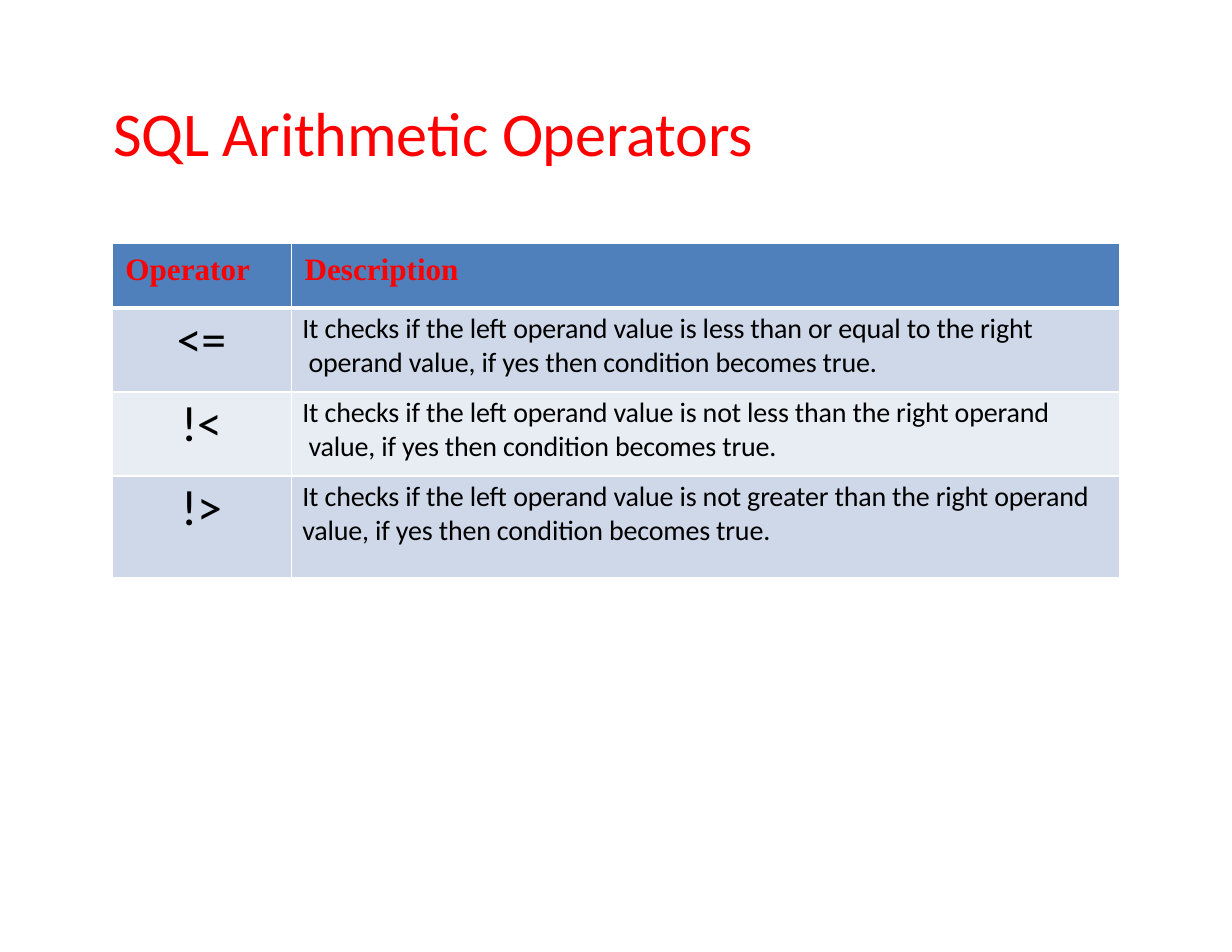
"""Builds a slide with a table of SQL operators and their descriptions."""
from lxml import etree
from pptx import Presentation
from pptx import util as u
from pptx.dml.color import RGBColor
from pptx.enum import text
from pptx.oxml import ns

RED = RGBColor(0xFF, 0x00, 0x00)
BLACK = RGBColor(0x00, 0x00, 0x00)
WHITE = RGBColor(0xFF, 0xFF, 0xFF)
HEADER_BLUE = RGBColor(0x4F, 0x80, 0xBC)
BANDS = [RGBColor(0xCF, 0xD8, 0xE8), RGBColor(0xE8, 0xED, 0xF4)]

COLUMN_WIDTHS = [1.6, 7.4]
ROW_HEIGHTS = [0.58, 0.75, 0.75, 0.91]
ROW_RULES = [1.5, 3, 1.5, 1.5, 1]
COLUMN_RULES = [1.5, 1, 1.5]

ROWS = [
    ("Operator", "Description"),
    ("<=", "It checks if the left operand value is less than or equal to the right"
           "\v operand value, if yes then condition becomes true."),
    ("!<", "It checks if the left operand value is not less than the right operand"
           "\v value, if yes then condition becomes true."),
    ("!>", "It checks if the left operand value is not greater than the right operand "
           "value, if yes then condition becomes true."),
]


def format_text(paragraph, size, color, font="Calibri", bold=False,
                spacing=-10, before=0.0, indent=0.0):
    """Set the paragraph's spacing and indent and the look of its runs."""
    paragraph.space_before = u.Pt(before)
    properties = paragraph._p.get_or_add_pPr()
    properties.set("marL", str(u.Inches(indent)))
    properties.set("indent", "0")
    for run in paragraph.runs:
        run.font.size = u.Pt(size)
        run.font.name = font
        run.font.bold = bold
        run.font.color.rgb = color
        run._r.get_or_add_rPr().set("spc", str(spacing))


def add_title(slide, wording):
    """Place the title placeholder above the table."""
    title = slide.shapes.title
    title.left, title.top = u.Inches(1), u.Inches(0.83)
    title.width, title.height = u.Inches(5.77), u.Inches(0.69)
    frame = title.text_frame
    frame.text = wording
    frame.word_wrap = True
    frame.auto_size = text.MSO_AUTO_SIZE.NONE
    frame.vertical_anchor = text.MSO_ANCHOR.TOP
    frame.margin_left = frame.margin_right = frame.margin_bottom = 0
    frame.margin_top = u.Inches(0.01)
    heading = frame.paragraphs[0]
    heading.alignment = text.PP_ALIGN.LEFT
    format_text(heading, 40, RED, before=0.9, indent=0.01)


def rule_cell(cell, row, column):
    """Draw the white rules around a cell."""
    widths = {"lnL": COLUMN_RULES[column], "lnR": COLUMN_RULES[column + 1],
              "lnT": ROW_RULES[row], "lnB": ROW_RULES[row + 1]}
    properties = cell._tc.get_or_add_tcPr()
    for side, width in widths.items():
        rule = etree.SubElement(properties, ns.qn("a:" + side), w=str(u.Pt(width)))
        fill = etree.SubElement(rule, ns.qn("a:solidFill"))
        etree.SubElement(fill, ns.qn("a:srgbClr"), val=str(WHITE))


def fill_cell(cell, wording, row, column):
    """Write and format one cell as header, operator or description."""
    rule_cell(cell, row, column)
    cell.fill.solid()
    cell.fill.fore_color.rgb = BANDS[(row - 1) % 2] if row else HEADER_BLUE
    cell.margin_left = cell.margin_right = cell.margin_bottom = 0
    cell.text_frame.text = wording
    paragraph = cell.text_frame.paragraphs[0]
    if row == 0:
        cell.margin_top = u.Inches(0.09)
        format_text(paragraph, 20, RED, "Times New Roman", True, 0, 6.8, 0.12)
    elif column == 0:
        cell.margin_top = u.Inches(0.02)
        paragraph.alignment = text.PP_ALIGN.CENTER
        format_text(paragraph, 32, BLACK, before=1.6)
    else:
        cell.margin_top = u.Inches(0.03)
        format_text(paragraph, 18, BLACK, before=2.3, indent=0.1)


def add_operator_table(slide):
    """Add the table of operators."""
    operators = slide.shapes.add_table(
        len(ROWS), len(COLUMN_WIDTHS), u.Inches(1), u.Inches(2.17),
        u.Inches(sum(COLUMN_WIDTHS)), u.Inches(sum(ROW_HEIGHTS))).table
    for column, width in zip(operators.columns, COLUMN_WIDTHS):
        column.width = u.Inches(width)
    for row, height in zip(operators.rows, ROW_HEIGHTS):
        row.height = u.Inches(height)
    for row, wordings in enumerate(ROWS):
        for column, wording in enumerate(wordings):
            fill_cell(operators.cell(row, column), wording, row, column)


def main():
    """Build the slide and save it."""
    deck = Presentation()
    deck.slide_width, deck.slide_height = u.Inches(11), u.Inches(8.5)
    slide = deck.slides.add_slide(deck.slide_layouts.get_by_name("Title Only"))
    add_title(slide, "SQL Arithmetic Operators")
    add_operator_table(slide)
    deck.save("out.pptx")


if __name__ == "__main__":
    main()
